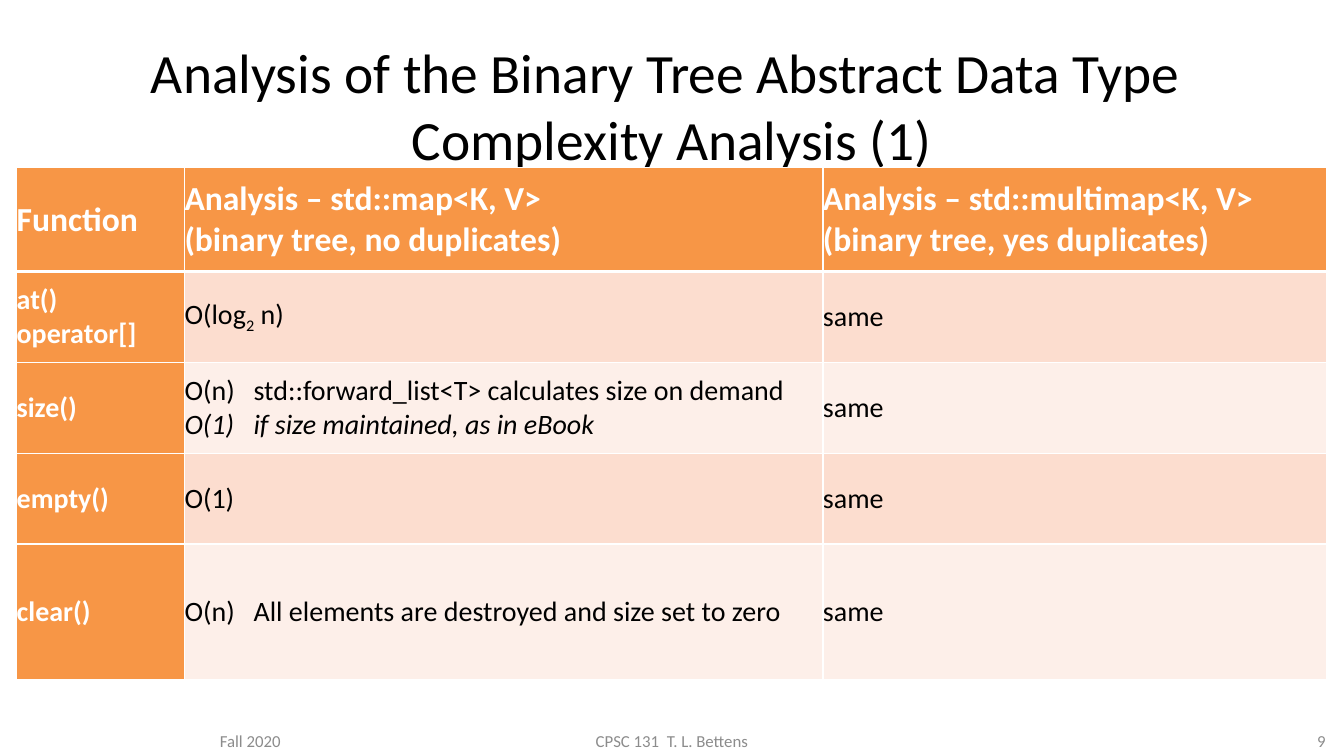
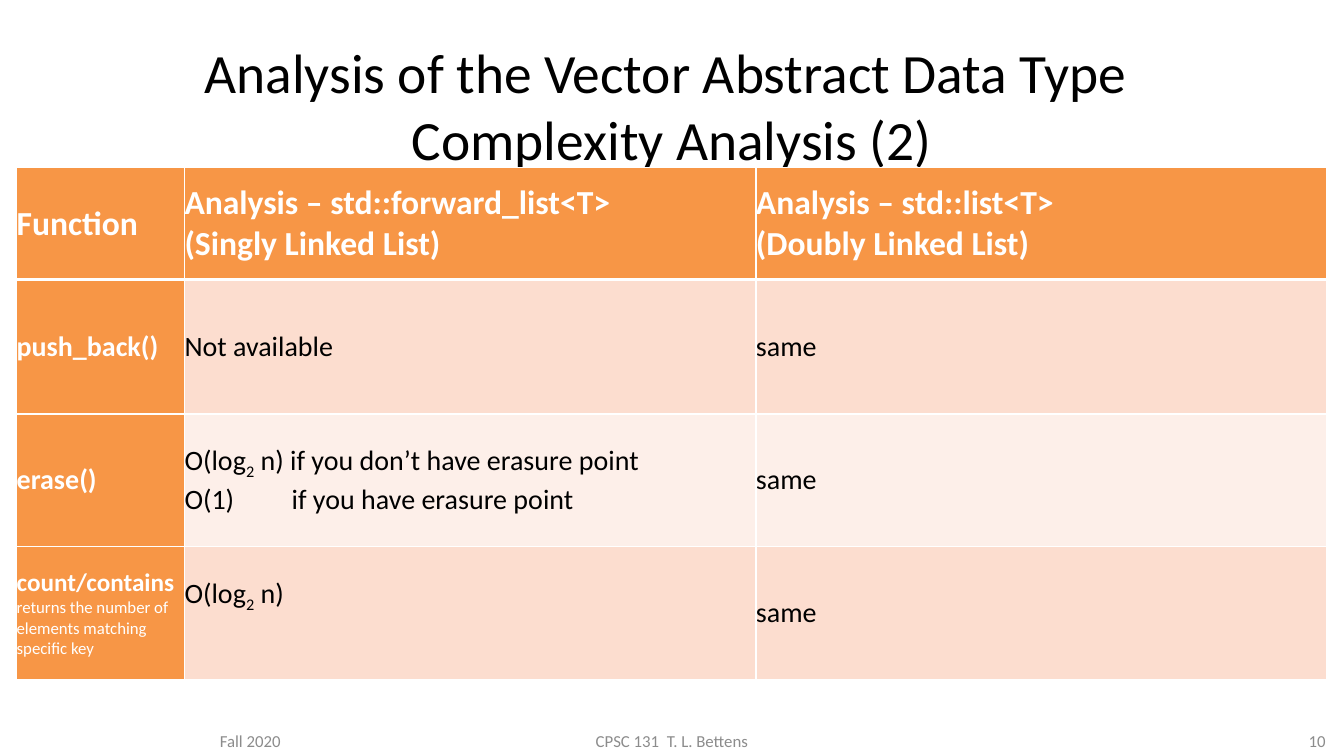
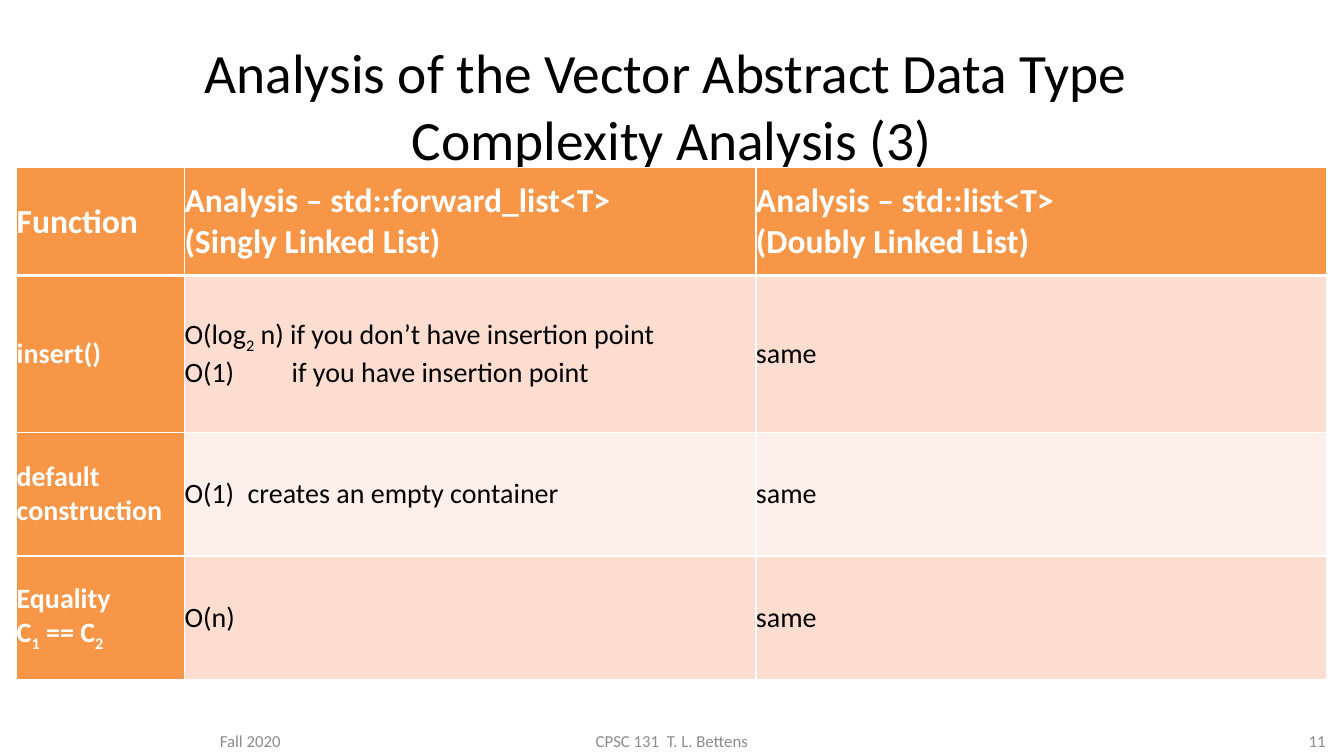
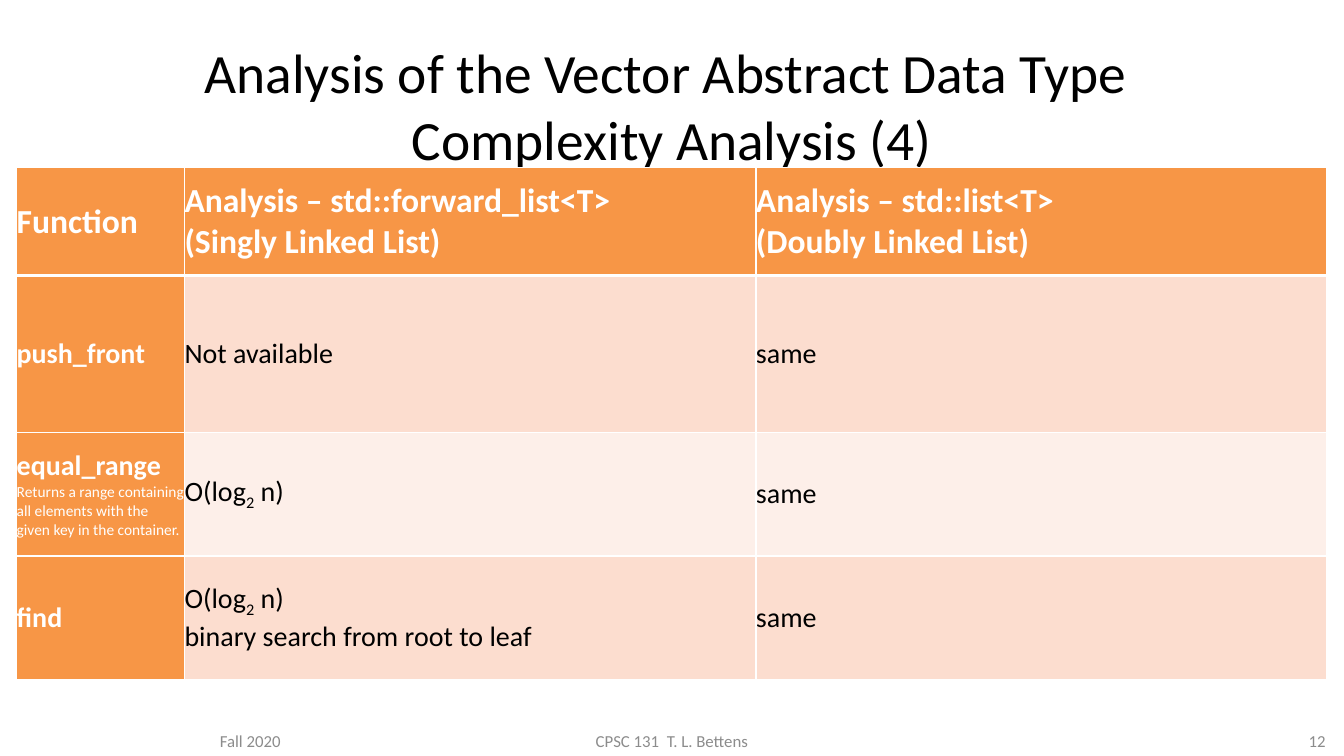
from lxml.etree import SubElement as Sub
from pptx import Presentation
from pptx.dml.color import RGBColor as RGB
from pptx.enum.text import MSO_ANCHOR as Anchor, MSO_AUTO_SIZE as Auto, PP_ALIGN as Align
from pptx.oxml.ns import qn
from pptx.util import Cm, Pt

FONT = "Calibri"
COLORS = {"ink": "000000", "white": "FFFFFF", "grey": "8C8C8C",
          "head": "F79646", "odd": "FCDDCF", "even": "FDEFE9"}
LISTS = ["Analysis – std::forward_list<T>\n(Singly Linked List)",
         "Analysis – std::list<T>\n(Doubly Linked List)"]
MAPS = ["Analysis – std::map<K, V>\n(binary tree, no duplicates)",
        "Analysis – std::multimap<K, V>\n(binary tree, yes duplicates)"]
EVEN = [4.23, 14.4, 14.39]
LOG = "O(log~2~ n)"


def part(text, **form):
    """Pair a text with its own format."""
    return text, form


def choice(point):
    """Give the two costs of a change with and without a known point."""
    return [part(f"{LOG} if you don’t have {point} point"),
            part(f"O(1)\tif you have {point} point", tab=2.7)]


DECK = [
    ("Binary Tree", MAPS, [4.23, 16.09, 12.7], [2.61, 2.29, 2.29, 2.29, 3.42], [
        ("at()\noperator[]", LOG),
        ("size()", [part("O(n)\tstd::forward_list<T> calculates size on demand", tab=1.74),
                    part("O(1)\tif size maintained, as in eBook", tab=1.74, italic=True)]),
        ("empty()", "O(1)"),
        ("clear()", [part("O(n)\tAll elements are destroyed and size set to zero", tab=1.74)])]),
    ("Vector", LISTS, EVEN, [2.81, 3.39, 3.35, 3.35], [
        ("push_back()", "Not available"),
        ("erase()", choice("erasure")),
        ([part("count/contains", size=18),
          part("returns the number of elements matching specific key", size=12, bold=False)], LOG)]),
    ("Vector", LISTS, EVEN, [2.71, 3.95, 3.12, 3.12], [
        ("insert()", choice("insertion")),
        ("default construction", [part("O(1)\tcreates an empty container", tab=1.59)]),
        ("Equality\nC~1~ == C~2~", "O(n)")]),
    ("Vector", LISTS, EVEN, [2.71, 3.95, 3.12, 3.12], [
        ("push_front", "Not available"),
        ([part("equal_range"),
          part("Returns a range containing all elements with the given key in the container.",
               size=11, bold=False)], LOG),
        ("find", LOG + "\nbinary search from root to leaf")]),
]


def write(frame, text, size=20, color="ink", bold=False, italic=False, align=Align.LEFT, tab=None):
    """Add paragraphs, with line breaks at \\v and subscripts between tildes."""
    for block in text.split("\n"):
        para = frame.paragraphs[-1]
        if para.runs:
            para = frame.add_paragraph()
        para.alignment = align
        if tab:
            stops = Sub(para._p.get_or_add_pPr(), qn("a:tabLst"))
            Sub(stops, qn("a:tab"), pos=str(Cm(tab)), algn="l")
        for row, line in enumerate(block.split("\v")):
            if row:
                para.add_line_break()
            for spot, piece in enumerate(line.split("~")):
                if not piece:
                    continue
                run = para.add_run()
                run.text = piece
                font = run.font
                font.name, font.size, font.bold, font.italic = FONT, Pt(size), bold, italic
                font.color.rgb = RGB.from_string(COLORS[color])
                if spot % 2:
                    run._r.get_or_add_rPr().set("baseline", "-25000")


def edge(cell, side, width):
    """Draw one white border of a cell."""
    line = Sub(cell._tc.get_or_add_tcPr(), qn(f"a:ln{side}"), w=str(Pt(width)))
    Sub(Sub(line, qn("a:solidFill")), qn("a:srgbClr"), val=COLORS["white"])


def fill(cell, text, row, col):
    """Style a cell by its place and write its parts."""
    top = row == 0
    label = top or col == 0
    cell.margin_left = cell.margin_right = cell.margin_top = cell.margin_bottom = 0
    cell.vertical_anchor = Anchor.MIDDLE
    for side, width in (("L", 1), ("R", 1), ("T", 3 if row == 1 else 1), ("B", 3 if top else 1)):
        edge(cell, side, width)
    cell.fill.solid()
    tint = "head" if label else "odd" if row % 2 else "even"
    cell.fill.fore_color.rgb = RGB.from_string(COLORS[tint])
    base = {"size": 24 if top else 20, "color": "white" if label else "ink", "bold": label}
    for words, form in [part(text)] if isinstance(text, str) else text:
        write(cell.text_frame, words, **{**base, **form})


def grid(slide, heads, wide, high, rows):
    """Add the table of functions and their costs."""
    cells = [["Function", *heads]] + [[*row, "same"] for row in rows]
    table = slide.shapes.add_table(len(high), len(wide), Cm(0.42), Cm(4.23),
                                   Cm(sum(wide)), Cm(sum(high))).table
    for col, width in zip(table.columns, wide):
        col.width = Cm(width)
    for row, height in zip(table.rows, high):
        row.height = Cm(height)
    for r, row in enumerate(cells):
        for c, text in enumerate(row):
            fill(table.cell(r, c), text, r, c)
    return table


def head(slide, text):
    """Place and write the title."""
    title = slide.shapes.title
    title.left, title.top, title.width, title.height = Cm(0.42), Cm(0.76), Cm(33.02), Cm(3.18)
    frame = title.text_frame
    frame.auto_size, frame.word_wrap = Auto.NONE, True
    frame.vertical_anchor, frame.margin_top = Anchor.TOP, Cm(0.2)
    write(frame, text, size=39.6, align=Align.CENTER)


def foot(slide, page):
    """Add the date, the course and the page number."""
    for text, left, width, align in (("Fall 2020", 5.29, 5.93, Align.LEFT),
                                     ("CPSC 131  T. L. Bettens", 11.22, 11.43, Align.CENTER),
                                     (str(page), 26.04, 7.62, Align.RIGHT)):
        frame = slide.shapes.add_textbox(Cm(left), Cm(17.65), Cm(width), Cm(1.4)).text_frame
        frame.word_wrap, frame.vertical_anchor = True, Anchor.BOTTOM
        write(frame, text, size=12, color="grey", align=align)


def main():
    """Build and save the deck."""
    deck = Presentation()
    deck.slide_width, deck.slide_height = Cm(33.87), Cm(19.05)
    tables = []
    for num, (kind, *data) in enumerate(DECK, 1):
        slide = deck.slides.add_slide(deck.slide_layouts[5])
        foot(slide, num + 8)
        head(slide, f"Analysis of the {kind} Abstract Data Type \vComplexity Analysis ({num})")
        tables.append(grid(slide, *data))
    tables[1].cell(3, 1).margin_bottom = Cm(0.86)
    deck.save("out.pptx")


if __name__ == "__main__":
    main()
